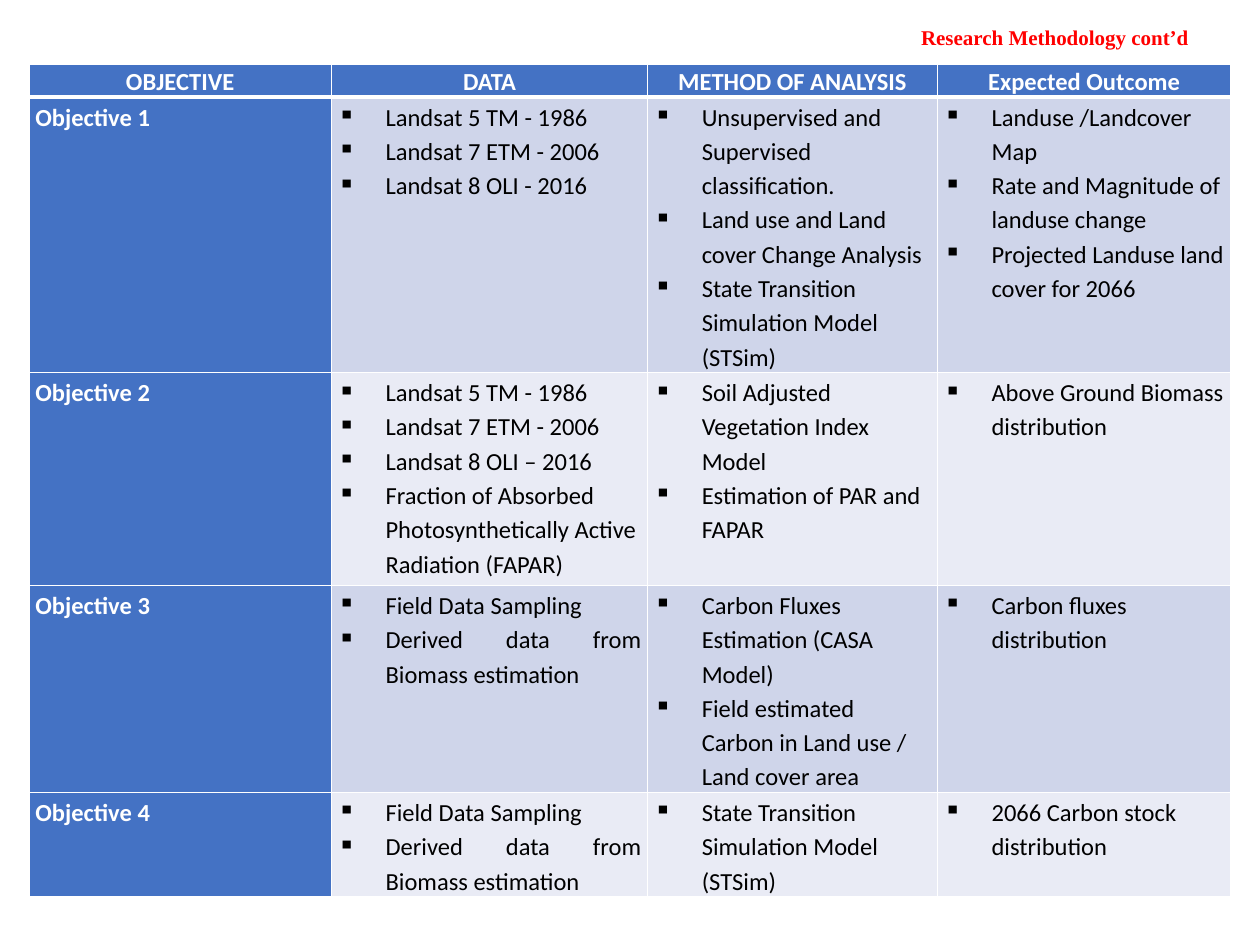
"""Build the research methodology slide with its table of objectives."""
from dataclasses import dataclass

from lxml import etree
from pptx import Presentation
from pptx import util as u
from pptx.dml.color import RGBColor
from pptx.enum import text
from pptx.oxml.ns import qn

EMU_PER_PX = 9144
COLORS = {
    "accent": "4472C4",
    "band_dark": "CFD5EA",
    "band_light": "E9EBF5",
    "white": "FFFFFF",
    "black": "000000",
    "title": "FF0000",
}
HEADERS = ["OBJECTIVE", "DATA", "METHOD OF ANALYSIS", "Expected Outcome"]
COLUMN_WIDTHS = [240, 251, 230, 233]
HEADER_HEIGHT = 23
INDENT = 38
TAB = 50
THIN, THICK = 1, 3


@dataclass
class Objective:
    name: str
    height: int
    data: list[str]
    methods: list[str]
    outcomes: list[str]
    data_alignment: text.PP_ALIGN = text.PP_ALIGN.LEFT


FIELD_DATA = ["Field Data Sampling", "Derived data from Biomass estimation"]
SIMULATION = "State Transition Simulation Model (STSim)"
OBJECTIVES = [
    Objective(
        "Objective 1", 193,
        ["Landsat 5 TM - 1986", "Landsat 7 ETM - 2006", "Landsat 8 OLI - 2016"],
        ["Unsupervised and Supervised classification.",
         "Land use and Land cover Change Analysis", SIMULATION],
        ["Landuse /Landcover Map", "Rate and Magnitude of landuse change",
         "Projected Landuse land cover for 2066"],
    ),
    Objective(
        "Objective 2", 169,
        ["Landsat 5 TM - 1986", "Landsat 7 ETM - 2006", "Landsat 8 OLI – 2016",
         "Fraction of Absorbed Photosynthetically Active Radiation (FAPAR)"],
        ["Soil Adjusted Vegetation Index Model", "Estimation of PAR and FAPAR"],
        ["Above Ground Biomass distribution"],
    ),
    Objective(
        "Objective 3", 145, FIELD_DATA,
        ["Carbon Fluxes Estimation (CASA Model)",
         "Field estimated Carbon in Land use / Land cover area"],
        ["Carbon fluxes distribution"],
        text.PP_ALIGN.JUSTIFY,
    ),
    Objective(
        "Objective 4", 72, FIELD_DATA, [SIMULATION],
        ["2066 Carbon stock distribution"],
        text.PP_ALIGN.JUSTIFY,
    ),
]


def px(length: int) -> u.Emu:
    return u.Emu(length * EMU_PER_PX)


def color(name: str) -> RGBColor:
    return RGBColor.from_string(COLORS[name])


def style_font(paragraph, family: str, size: int, color_name: str, bold: bool) -> None:
    font = paragraph.font
    font.name, font.size, font.bold = family, u.Pt(size), bold
    font.color.rgb = color(color_name)


def add_bullet(paragraph) -> None:
    properties = paragraph._p.get_or_add_pPr()
    properties.set("marL", str(px(INDENT)))
    properties.set("indent", str(px(-INDENT)))
    etree.SubElement(properties, qn("a:buChar"), char="▪")
    tabs = etree.SubElement(properties, qn("a:tabLst"))
    etree.SubElement(tabs, qn("a:tab"), pos=str(px(TAB)), algn="l")


def set_borders(cell, top: int = THIN, bottom: int = THIN) -> None:
    properties = cell._tc.get_or_add_tcPr()
    widths = {"a:lnL": THIN, "a:lnR": THIN, "a:lnT": top, "a:lnB": bottom}
    for position, (tag, width) in enumerate(widths.items()):
        line = etree.Element(qn(tag), w=str(u.Pt(width)))
        fill = etree.SubElement(line, qn("a:solidFill"))
        etree.SubElement(fill, qn("a:srgbClr"), val=COLORS["white"])
        properties.insert(position, line)


def fill_cell(cell, lines: list[str], fill: str, font_color: str = "white",
              spacing: float = 1.15, bulleted: bool = False,
              alignment: text.PP_ALIGN = text.PP_ALIGN.LEFT) -> None:
    cell.margin_left = cell.margin_right = px(5)
    cell.margin_top, cell.margin_bottom = px(1), px(0)
    cell.fill.solid()
    cell.fill.fore_color.rgb = color(fill)
    cell.text_frame.text = "\n".join(lines)
    for paragraph in cell.text_frame.paragraphs:
        if bulleted:
            add_bullet(paragraph)
        paragraph.alignment = alignment
        paragraph.line_spacing = spacing
        style_font(paragraph, "Calibri", 14, font_color, not bulleted)


def add_objectives_table(slide) -> None:
    heights = [HEADER_HEIGHT] + [objective.height for objective in OBJECTIVES]
    table = slide.shapes.add_table(
        len(heights), len(HEADERS), px(23), px(51),
        px(sum(COLUMN_WIDTHS)), px(sum(heights))).table
    table.horz_banding = False
    for column, width in zip(table.columns, COLUMN_WIDTHS):
        column.width = px(width)
    for row, height in zip(table.rows, heights):
        row.height = px(height)

    for cell, header in zip(table.rows[0].cells, HEADERS):
        fill_cell(cell, [header], "accent", spacing=1.06,
                  alignment=text.PP_ALIGN.CENTER)
        cell.vertical_anchor = text.MSO_ANCHOR.BOTTOM
        set_borders(cell, bottom=THICK)

    for index, objective in enumerate(OBJECTIVES):
        cells = list(table.rows[index + 1].cells)
        band = "band_light" if index % 2 else "band_dark"
        fill_cell(cells[0], [objective.name], "accent")
        details = [
            (objective.data, objective.data_alignment),
            (objective.methods, text.PP_ALIGN.LEFT),
            (objective.outcomes, text.PP_ALIGN.LEFT),
        ]
        for cell, (lines, alignment) in zip(cells[1:], details):
            fill_cell(cell, lines, band, "black", bulleted=True, alignment=alignment)
        for cell in cells:
            set_borders(cell, top=THIN if index else THICK)


def format_title(slide) -> None:
    title = slide.shapes.title
    title.left, title.top, title.width, title.height = map(px, (721, 12, 279, 38))
    frame = title.text_frame
    frame.text = "Research Methodology cont’d"
    frame.word_wrap = True
    frame.auto_size = text.MSO_AUTO_SIZE.NONE
    frame.vertical_anchor = text.MSO_ANCHOR.MIDDLE
    paragraph = frame.paragraphs[0]
    paragraph.alignment = text.PP_ALIGN.LEFT
    paragraph.line_spacing = 0.9
    style_font(paragraph, "Times New Roman", 12, "title", True)


def main() -> None:
    presentation = Presentation()
    presentation.slide_width, presentation.slide_height = px(1000), px(750)
    slide = presentation.slides.add_slide(presentation.slide_layouts[5])
    format_title(slide)
    add_objectives_table(slide)
    presentation.save("out.pptx")


if __name__ == "__main__":
    main()
